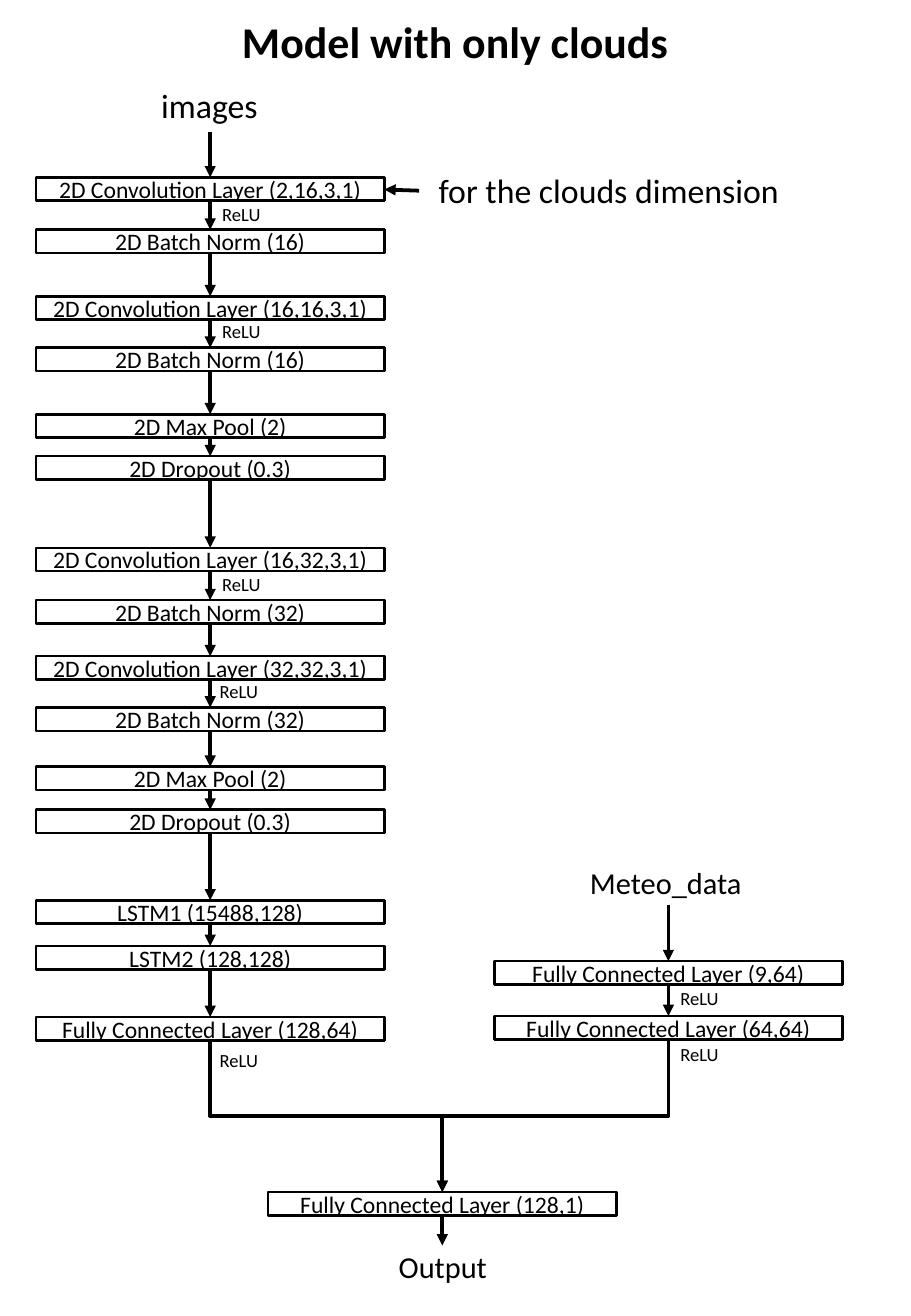
import pptx
import pptx.util
import pptx.dml.color
import pptx.enum.shapes
import pptx.enum.text
import pptx.oxml
import pptx.oxml.ns

Pt = pptx.util.Pt
ALIGN = pptx.enum.text.PP_ALIGN
ANCHOR = pptx.enum.text.MSO_ANCHOR
KIND = pptx.enum.shapes.MSO_CONNECTOR
RECT = pptx.enum.shapes.MSO_SHAPE.RECTANGLE


def hue(code):
    return pptx.dml.color.RGBColor.from_string(code)


class Chart:
    font, ink, paper = "Calibri", "000000", "FFFFFF"
    wide, high = 206.4, 13.9

    def __init__(self, slide):
        self.slide = slide

    def fill(self, shape, text, size, align, anchor=ANCHOR.TOP, bold=False):
        frame = shape.text_frame
        frame.word_wrap = True
        frame.vertical_anchor = anchor
        para = frame.paragraphs[0]
        para.alignment = align
        run = para.add_run()
        run.text = text
        run.font.name = self.font
        run.font.size = Pt(size)
        run.font.bold = bold
        run.font.color.rgb = hue(self.ink)

    def title(self, text, x, y, w, h):
        shape = self.slide.shapes.title
        shape.left, shape.top, shape.width, shape.height = map(Pt, (x, y, w, h))
        shape.text_frame.auto_size = pptx.enum.text.MSO_AUTO_SIZE.NONE
        self.fill(shape, text, 26, ALIGN.CENTER, bold=True)

    def label(self, text, x, y, w, h, size, align=ALIGN.CENTER):
        shape = self.slide.shapes.add_textbox(*map(Pt, (x, y, w, h)))
        self.fill(shape, text, size, align)

    def relu(self, x, y):
        self.label("ReLU", x, y, 67, 21, 11, ALIGN.LEFT)

    def layer(self, text, mid, y):
        shape = self.slide.shapes.add_shape(
            RECT, Pt(mid - self.wide / 2), Pt(y), Pt(self.wide), Pt(self.high))
        shape.shadow.inherit = False
        shape.fill.solid()
        shape.fill.fore_color.rgb = hue(self.paper)
        shape.line.color.rgb = hue(self.ink)
        shape.line.width = Pt(1.5)
        self.fill(shape, text, 14, ALIGN.CENTER, ANCHOR.MIDDLE)

    def arrow(self, x1, y1, x2, y2, kind=KIND.STRAIGHT):
        line = self.slide.shapes.add_connector(kind, *map(Pt, (x1, y1, x2, y2)))
        line.line.color.rgb = hue(self.ink)
        line.line.width = Pt(2.25)
        space = pptx.oxml.ns.nsdecls("a")
        props = line._element.spPr
        props.find(pptx.oxml.ns.qn("a:ln")).append(
            pptx.oxml.parse_xml(f'<a:tailEnd {space} type="triangle"/>'))
        props.append(pptx.oxml.parse_xml(f"<a:effectLst {space}/>"))
        return props

    def elbow(self, x1, y1, x2, y2):
        # Leaves and enters vertically: a quarter turn of a sideways elbow
        side = 1 if x2 > x1 else -1
        mid, row = (x1 + x2) / 2, (y1 + y2) / 2
        w, h = (y2 - y1) / 2, abs(x2 - x1) / 2
        props = self.arrow(mid + side * w, row - h, mid - side * w, row + h,
                           KIND.ELBOW)
        props.xfrm.set("rot", "16200000" if side > 0 else "5400000")

    def stack(self, mid, rows):
        for text, y in rows:
            self.layer(text, mid, y)
        for (_, top), (_, end) in zip(rows, rows[1:]):
            self.arrow(mid, top + self.high, mid, end)


def main():
    deck = pptx.Presentation()
    deck.slide_width, deck.slide_height = Pt(540), Pt(779.76)
    art = Chart(deck.slides.add_slide(deck.slide_layouts[5]))
    left, right, out = 124.6, 396.2, 262.2

    # Title and input of the image branch
    art.title("Model with only clouds", 33.8, 5, 472.3, 38.9)
    art.label("images", 6.5, 46.8, 235.4, 31.7, 20)

    # Image branch
    images = [
        ("2D Convolution Layer (2,16,3,1)", 105.1),
        ("2D Batch Norm (16)", 136.1),
        ("2D Convolution Layer (16,16,3,1)", 175.6),
        ("2D Batch Norm (16)", 206),
        ("2D Max Pool (2)", 245.5),
        ("2D Dropout (0.3)", 270.3),
        ("2D Convolution Layer (16,32,3,1)", 324.6),
        ("2D Batch Norm (32)", 355.6),
        ("2D Convolution Layer (32,32,3,1)", 388.8),
        ("2D Batch Norm (32)", 419.2),
        ("2D Max Pool (2)", 454.3),
        ("2D Dropout (0.3)", 479.8),
        ("LSTM1 (15488,128)", 533.5),
        ("LSTM2 (128,128)", 560.5),
        ("Fully Connected Layer (128,64)", 602.6),
    ]
    art.stack(left, images)
    art.arrow(left, 78.5, left, images[0][1])

    # Weather branch
    meteo = [("Fully Connected Layer (9,64)", 569.5),
             ("Fully Connected Layer (64,64)", 602)]
    art.label("Meteo_data", 330.5, 508.3, 128.2, 29, 18)
    art.stack(right, meteo)
    art.arrow(right, 536, right, meteo[0][1])

    # Activations
    for x, y in [(left, 116.6), (left, 185.8), (left, 336.2), (123.1, 399.6),
                 (123.1, 617.8), (right, 581), (right, 614.5)]:
        art.relu(x, y)

    # Merge and output
    last = 706.3
    art.layer("Fully Connected Layer (128,1)", out, last)
    for mid, rows in ((left, images), (right, meteo)):
        art.elbow(mid, rows[-1][1] + art.high, out, last)
    art.arrow(out, last + art.high, out, 738)
    art.label("Output", 229, 735.8, 67, 31, 18)

    # Side note
    art.label(" for the clouds dimension", 248.4, 97.2, 270, 31.7, 20, ALIGN.LEFT)
    art.arrow(248.4, 113, left + art.wide / 2, 112.3)

    deck.save("out.pptx")


if __name__ == "__main__":
    main()
